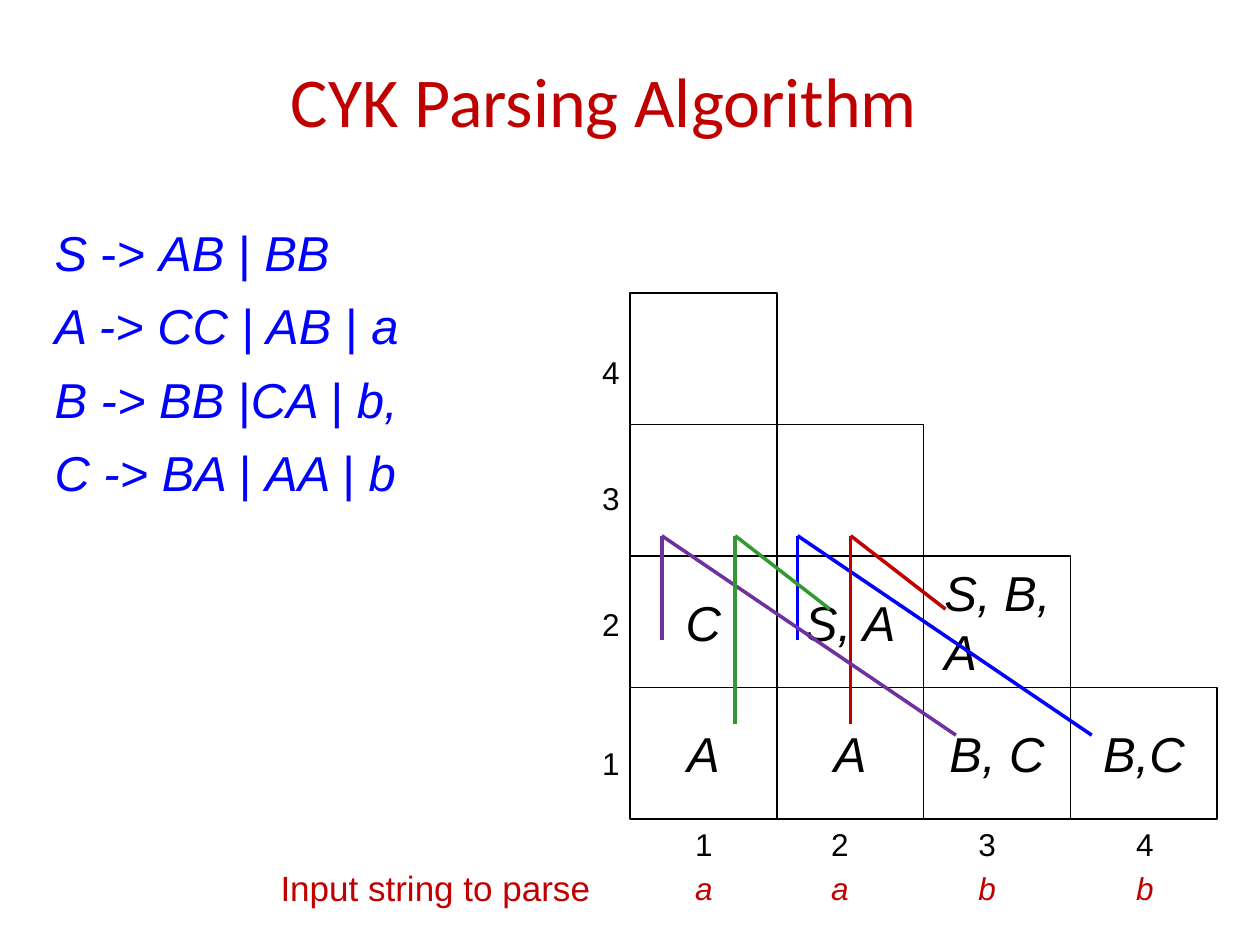
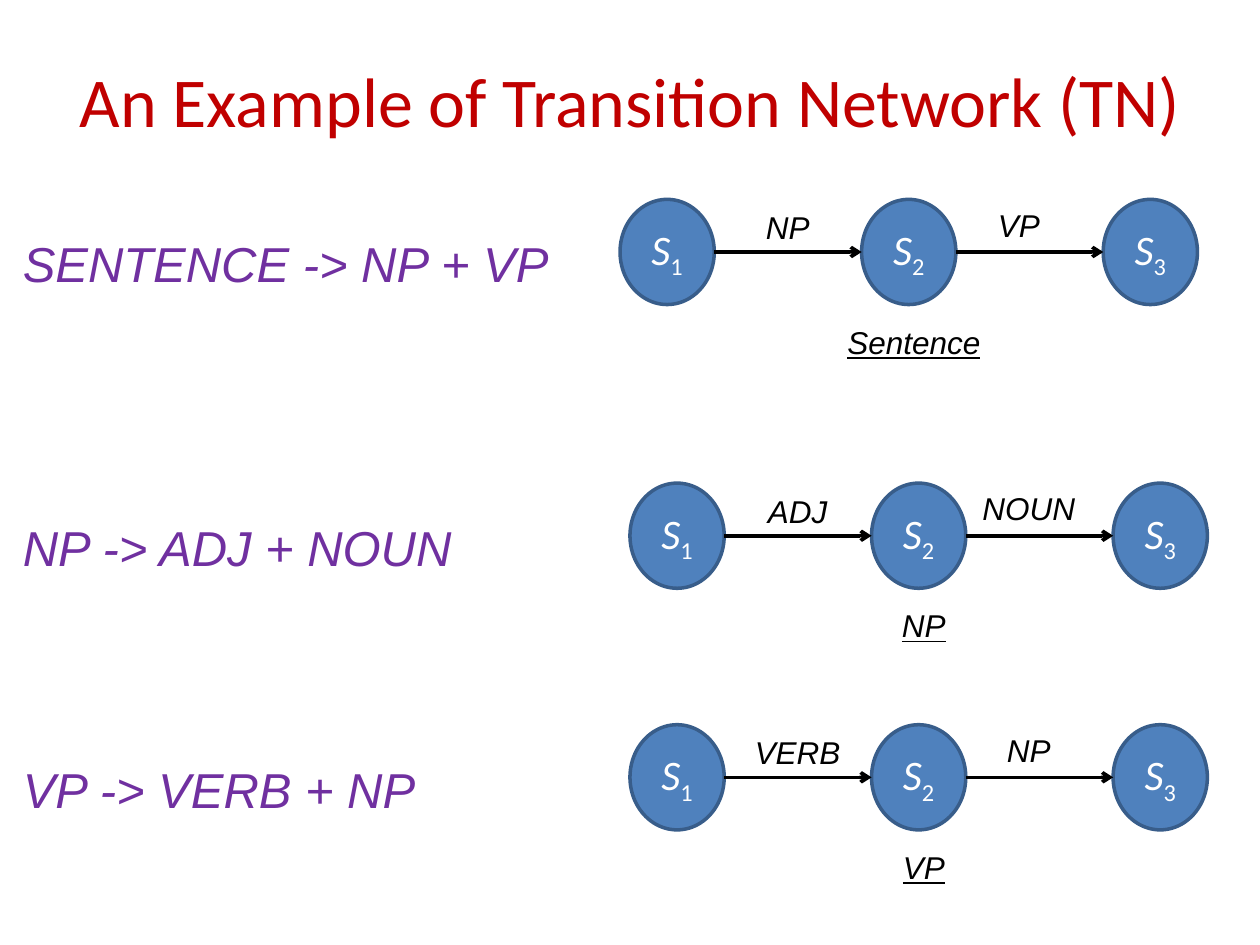
from dataclasses import dataclass

import pptx
import pptx.dml.color
import pptx.enum.shapes
import pptx.enum.text
import pptx.oxml
import pptx.oxml.ns
import pptx.util
from pptx.dml.color import RGBColor
from pptx.util import Cm

# Shared colours and styles
RED = RGBColor(0xC0, 0x00, 0x00)
BLUE = RGBColor(0x00, 0x00, 0xFF)
PURPLE = RGBColor(0x70, 0x30, 0xA0)
GREEN = RGBColor(0x33, 0x99, 0x33)
BLACK = RGBColor(0x00, 0x00, 0x00)
WHITE = RGBColor(0xFF, 0xFF, 0xFF)
STATE_FILL = RGBColor(0x4F, 0x81, 0xBD)
STATE_LINE = RGBColor(0x38, 0x5D, 0x8A)

ALIGN = pptx.enum.text.PP_ALIGN
ANCHOR = pptx.enum.text.MSO_ANCHOR
SHAPE = pptx.enum.shapes.MSO_SHAPE


# All measures in the dataclasses are centimetres
@dataclass(frozen=True)
class Wire:
    """A bent line that joins two cells through an apex."""
    apex: float
    foot_top: float
    reach: float
    end_top: float
    color: RGBColor


@dataclass(frozen=True)
class Network:
    """One rewrite rule and its transition network."""
    left: float
    top: float
    rule: str
    arcs: tuple[str, str]
    name: str


def write_text(frame, text: str, *, size: float = 18, font: str = "Arial",
               color: RGBColor = BLACK, italic: bool = False,
               underline: bool = False, align=ALIGN.CENTER,
               anchor=ANCHOR.TOP, wrap: bool = True, space: float = 0,
               subscript: bool = False) -> None:
    """Fill a frame; each ~ in the text switches italic on or off."""
    frame.word_wrap = wrap
    frame.auto_size = pptx.enum.text.MSO_AUTO_SIZE.NONE
    frame.vertical_anchor = anchor
    for row, line in enumerate(text.split("\n")):
        para = frame.add_paragraph() if row else frame.paragraphs[0]
        para.alignment = align
        para.space_before = pptx.util.Pt(space if row else 0)
        for turn, piece in enumerate(line.split("~")):
            span = para.add_run()
            span.text = piece
            span.font.size = pptx.util.Pt(size)
            span.font.name = font
            span.font.color.rgb = color
            span.font.italic = italic != bool(turn % 2)
            if underline:
                span.font.underline = True
            if subscript and turn:
                span.font._element.set("baseline", "-25000")


def add_label(page, text: str, left: float, top: float, width: float,
              height: float = 1.02, **style) -> None:
    box = page.shapes.add_textbox(Cm(left), Cm(top), Cm(width), Cm(height))
    write_text(box.text_frame, text, **style)


def add_box(page, kind, left: float, top: float, width: float, height: float,
            line: RGBColor, weight: float, fill: RGBColor | None = None):
    box = page.shapes.add_shape(kind, Cm(left), Cm(top), Cm(width), Cm(height))
    box.shadow.inherit = False
    box.line.color.rgb = line
    box.line.width = pptx.util.Pt(weight)
    if fill is None:
        box.fill.background()
    else:
        box.fill.solid()
        box.fill.fore_color.rgb = fill
    return box


def add_line(page, start: tuple[float, float], end: tuple[float, float],
             color: RGBColor, arrow: bool = False) -> None:
    line = page.shapes.add_connector(
        pptx.enum.shapes.MSO_CONNECTOR.STRAIGHT,
        Cm(start[0]), Cm(start[1]), Cm(end[0]), Cm(end[1]))
    line.line.color.rgb = color
    line.line.width = pptx.util.Pt(2)
    if arrow:
        tail = pptx.oxml.parse_xml(
            f'<a:tailEnd {pptx.oxml.ns.nsdecls("a")} type="arrow"/>')
        line.line._get_or_add_ln().append(tail)
    line._element.spPr.append(pptx.oxml.parse_xml(
        f'<a:effectLst {pptx.oxml.ns.nsdecls("a")}/>'))


def add_page(deck, title: str, left: float, width: float):
    page = deck.slides.add_slide(deck.slide_layouts[5])
    heading = page.shapes.title
    heading.left, heading.top = Cm(left), Cm(1.27)
    heading.width, heading.height = Cm(width), Cm(1.48)
    write_text(heading.text_frame, title, size=40, font="Calibri", color=RED,
               anchor=ANCHOR.MIDDLE)
    return page


# Parsing table
GRAMMAR = ("S~ -> ~AB ~|~ BB\nA -> CC ~|~ AB ~|~ a\n"
           "B -> BB ~|~CA ~| ~b,\nC -> BA ~| ~AA ~| ~b")
CELL_ROWS = (("A", "A", "B, C", "B,C"), ("C", "S, A", "S, B, A"),
             ("", ""), ("",))
CELL_WIDTH, CELL_HEIGHT = 2.96, 2.65
GRID_LEFT, GRID_BOTTOM = 12.7, 16.51
ROW_LABEL_TOPS = (14.88, 12.07, 9.53, 6.99)
COLUMN_LABEL_LEFTS = (13.34, 16.08, 19.05, 22.23)
APEX_TOP = 10.8
LONG_WIRE = (12.9, 5.93, 14.82)
SHORT_WIRE = (14.6, 1.91, 12.28)
WIRES = (Wire(16.08, *LONG_WIRE, BLUE), Wire(17.15, *SHORT_WIRE, RED),
         Wire(13.34, *LONG_WIRE, PURPLE), Wire(14.82, *SHORT_WIRE, GREEN))


def build_parsing_page(deck) -> None:
    page = add_page(deck, "CYK Parsing Algorithm", 0.85, 22.65)
    add_label(page, GRAMMAR, 0.85, 4.36, 11.43, 8.13, size=28, color=BLUE,
              italic=True, align=ALIGN.LEFT, space=8.4)

    # Cells, from the bottom row up
    for row, texts in enumerate(CELL_ROWS, start=1):
        for column, text in enumerate(texts):
            cell = add_box(page, SHAPE.RECTANGLE,
                           GRID_LEFT + column * CELL_WIDTH,
                           GRID_BOTTOM - row * CELL_HEIGHT,
                           CELL_WIDTH, CELL_HEIGHT, BLACK, 1)
            if text:
                long = len(text) > 4
                write_text(cell.text_frame, text, size=28, italic=True,
                           anchor=ANCHOR.MIDDLE,
                           align=ALIGN.LEFT if long else ALIGN.CENTER)
                if long:
                    cell.text_frame.margin_left = Cm(0.42)

    # Row and column labels
    for number, top in enumerate(ROW_LABEL_TOPS, start=1):
        add_label(page, str(number), 12, top, 0.63, wrap=False)
    for number, (left, letter) in enumerate(zip(COLUMN_LABEL_LEFTS, "aabb"),
                                            start=1):
        add_label(page, str(number), left, 16.51, 1.7)
        add_label(page, letter, left, 17.4, 1.7, color=RED, italic=True)
    add_label(page, "Input string to parse", 4.65, 17.35, 8.26, 1.12,
              size=20, color=RED)

    # Wires between combined cells
    for wire in WIRES:
        apex = (wire.apex, APEX_TOP)
        add_line(page, (wire.apex, wire.foot_top), apex, wire.color)
        add_line(page, apex, (wire.apex + wire.reach, wire.end_top),
                 wire.color)


# Transition networks
STATE_WIDTH, STATE_HEIGHT, STATE_STEP = 1.9, 2.12, 4.87
NETWORKS = (
    Network(12.5, 4.02, "SENTENCE -> NP + VP", ("NP", "VP"), "Sentence"),
    Network(12.7, 9.74, "NP -> ADJ + NOUN", ("ADJ", "NOUN"), "NP"),
    Network(12.7, 14.61, "VP -> VERB + NP", ("VERB", "NP"), "VP"),
)


def add_network(page, network: Network) -> None:
    left, top = network.left, network.top
    middle = top + STATE_HEIGHT / 2
    for number in range(3):
        state = add_box(page, SHAPE.OVAL, left + number * STATE_STEP, top,
                        STATE_WIDTH, STATE_HEIGHT, STATE_LINE, 2, STATE_FILL)
        write_text(state.text_frame, f"S~{number + 1}", size=24,
                   font="Calibri", color=WHITE, italic=True,
                   anchor=ANCHOR.MIDDLE, subscript=True)
    for number, arc in enumerate(network.arcs):
        start = left + number * STATE_STEP
        add_line(page, (start + STATE_WIDTH, middle),
                 (start + STATE_STEP, middle), BLACK, arrow=True)
        add_label(page, arc, left + 2.11 + number * 4.66,
                  top + 0.05 * (1 - number), 2.54, italic=True)
    add_label(page, network.name, left + 4.23, top + 2.36, 3.39,
              italic=True, underline=True)
    add_label(page, network.rule, 0.21, top + 0.57, 12, 1.5, size=28,
              color=PURPLE, italic=True, align=ALIGN.LEFT)


def build_network_page(deck) -> None:
    page = add_page(deck, "An Example of Transition Network (TN)", 0, 25.4)
    for network in NETWORKS:
        add_network(page, network)


def main() -> None:
    deck = pptx.Presentation()
    deck.slide_width, deck.slide_height = Cm(25.4), Cm(19.05)
    build_parsing_page(deck)
    build_network_page(deck)
    deck.save("out.pptx")


if __name__ == "__main__":
    main()
